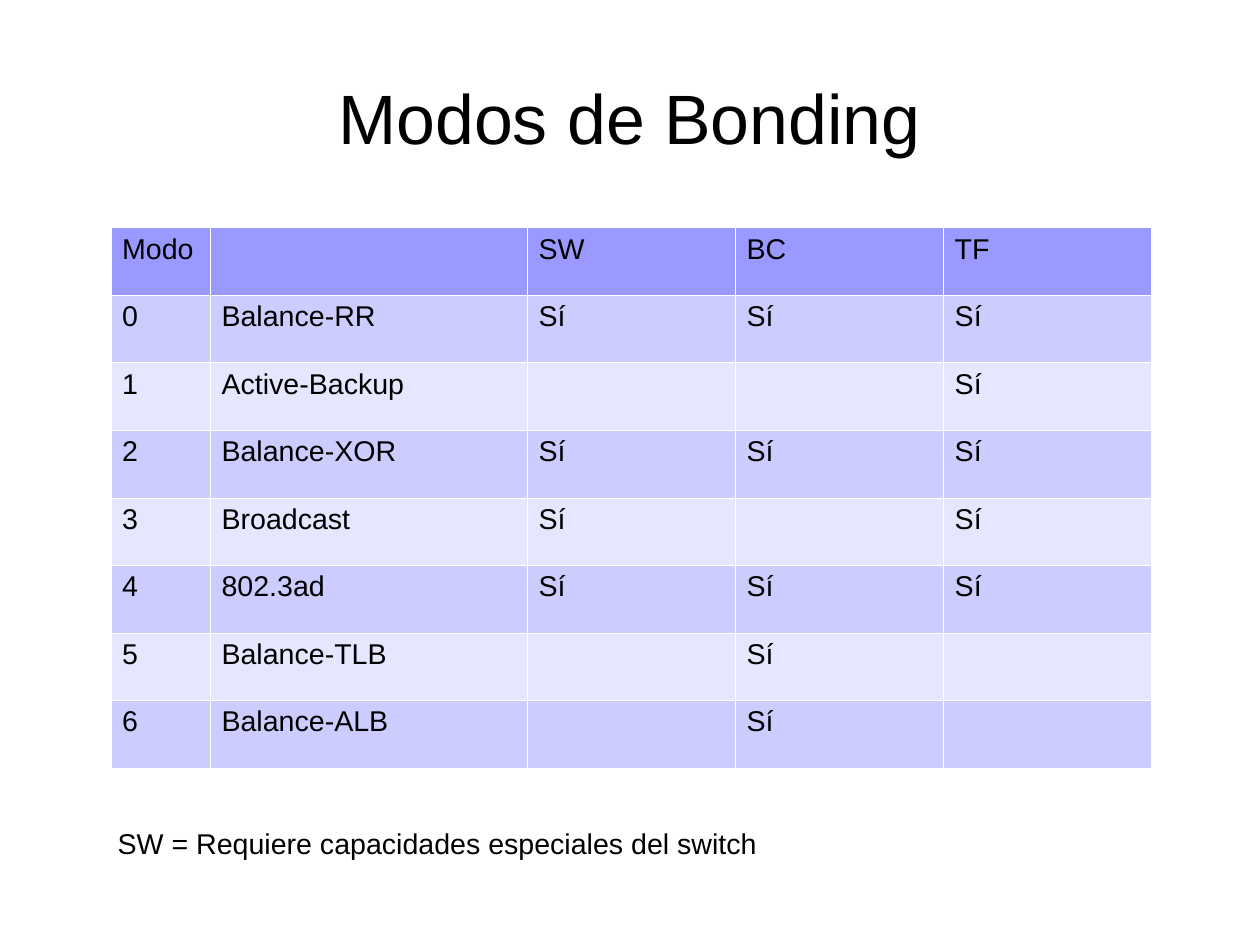
from lxml.etree import SubElement
from pptx import Presentation
from pptx.dml.color import RGBColor
from pptx.enum.text import MSO_ANCHOR, PP_ALIGN
from pptx.oxml.ns import qn
from pptx.util import Pt

HUES = {"text": "000000", "head": "9999FF", "odd": "CCCCFF",
        "even": "E6E6FF", "rule": "FFFFFF"}
FONT = "Arial"
WIDTHS = [62.6, 199.7, 131.1, 131.1, 131.1]
HEIGHT = 42.55
MODES = [
    ["Modo", "", "SW", "BC", "TF"],
    ["0", "Balance-RR", "Sí", "Sí", "Sí"],
    ["1", "Active-Backup", "", "", "Sí"],
    ["2", "Balance-XOR", "Sí", "Sí", "Sí"],
    ["3", "Broadcast", "Sí", "", "Sí"],
    ["4", "802.3ad", "Sí", "Sí", "Sí"],
    ["5", "Balance-TLB", "", "Sí", ""],
    ["6", "Balance-ALB", "", "Sí", ""],
]


def write(frame, text, size):
    """Put text in a frame and format its runs."""
    frame.text = text
    for part in frame.paragraphs:
        for run in part.runs:
            run.font.name = FONT
            run.font.size = Pt(size)
            run.font.color.rgb = RGBColor.from_string(HUES["text"])


def add_text(slide, box, text, size):
    """Add a text box and return its frame."""
    frame = slide.shapes.add_textbox(*map(Pt, box)).text_frame
    write(frame, text, size)
    return frame


def add_title(slide, box, text):
    """Add the centred title with no insets."""
    frame = add_text(slide, box, text, 44)
    frame.word_wrap = True
    frame.vertical_anchor = MSO_ANCHOR.MIDDLE
    frame.margin_left = frame.margin_right = Pt(0)
    frame.margin_top = frame.margin_bottom = Pt(0)
    frame.paragraphs[0].alignment = PP_ALIGN.CENTER


def rule(cell):
    """Draw a thin line on each side of a cell."""
    props = cell._tc.get_or_add_tcPr()
    for place, side in enumerate(("lnL", "lnR", "lnT", "lnB")):
        line = SubElement(props, qn("a:" + side), w=str(Pt(0.06)))
        fill = SubElement(line, qn("a:solidFill"))
        SubElement(fill, qn("a:srgbClr"), val=HUES["rule"])
        props.insert(place, line)


def add_grid(slide, left, top, rows):
    """Add the table with a head row and banded rows."""
    grid = slide.shapes.add_table(
        len(rows), len(WIDTHS), Pt(left), Pt(top),
        Pt(sum(WIDTHS)), Pt(HEIGHT * len(rows))).table
    for col, width in zip(grid.columns, WIDTHS):
        col.width = Pt(width)
    for i, row in enumerate(rows):
        grid.rows[i].height = Pt(HEIGHT)
        band = "head" if i == 0 else "odd" if i % 2 else "even"
        for j, text in enumerate(row):
            cell = grid.cell(i, j)
            write(cell.text_frame, text, 18)
            cell.fill.solid()
            cell.fill.fore_color.rgb = RGBColor.from_string(HUES[band])
            rule(cell)


def main():
    """Build the slide and save it."""
    deck = Presentation()
    deck.slide_width, deck.slide_height = Pt(793.7), Pt(595.3)
    slide = deck.slides.add_slide(deck.slide_layouts[6])
    add_title(slide, (39.6, 23.8, 714.2, 99.4), "Modos de Bonding")
    add_grid(slide, 69.8, 143.3, MODES)
    note = "SW = Requiere capacidades especiales del switch"
    add_text(slide, (67, 517, 416.9, 27.4), note, 18).word_wrap = False
    deck.save("out.pptx")


if __name__ == "__main__":
    main()
